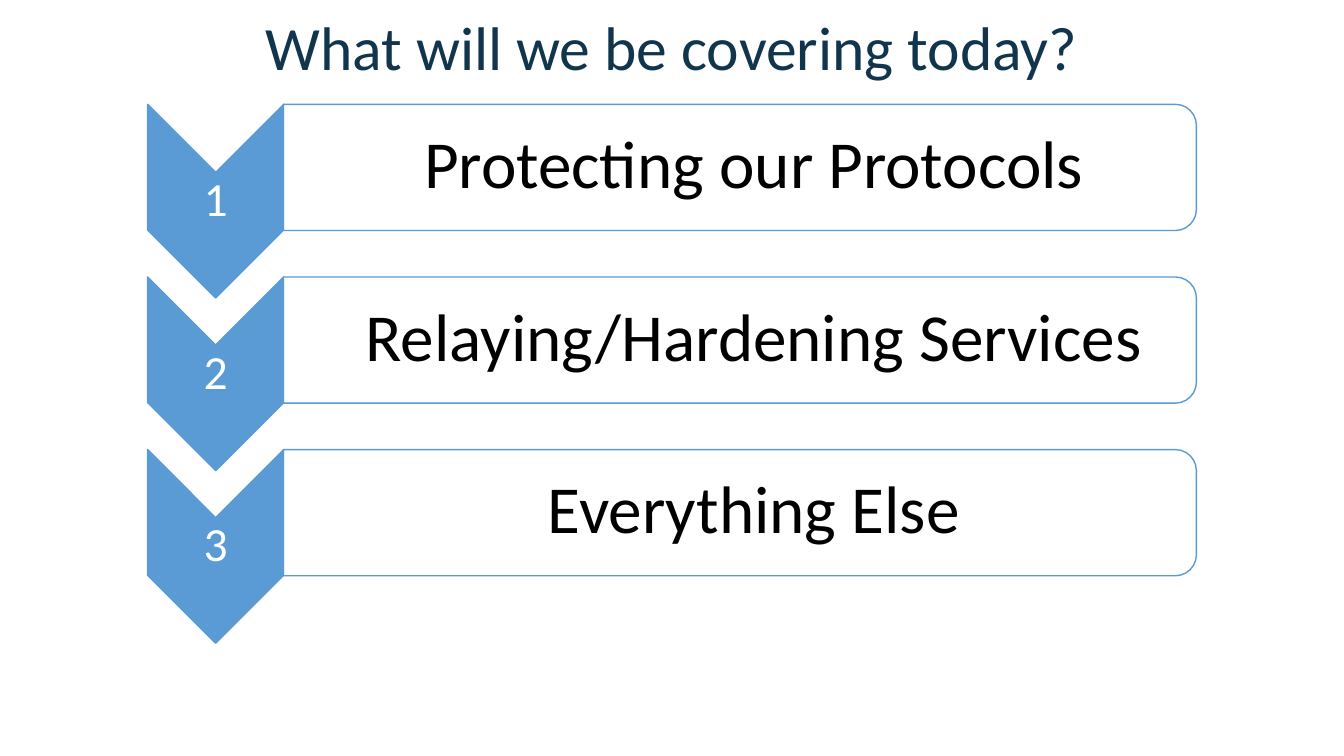
from dataclasses import dataclass

from lxml import etree
from pptx import Presentation
from pptx import util as u
from pptx.dml.color import RGBColor
from pptx.enum import shapes, text
from pptx.oxml.ns import qn


@dataclass(frozen=True)
class Theme:
    font: str = "Calibri"
    title_color: str = "11354D"
    accent: str = "5B9BD5"
    light: str = "FFFFFF"
    dark: str = "000000"
    title_size: int = 44
    number_size: int = 34
    topic_size: int = 48


def write_text(shape, content, *, font, size, color, margins=None):
    """Fill a shape with one centred, formatted paragraph."""
    frame = shape.text_frame
    frame.word_wrap = True
    frame.auto_size = text.MSO_AUTO_SIZE.NONE
    frame.vertical_anchor = text.MSO_ANCHOR.MIDDLE
    if margins:
        (frame.margin_left, frame.margin_top,
         frame.margin_right, frame.margin_bottom) = map(u.Cm, margins)
    frame.text = content
    paragraph = frame.paragraphs[0]
    paragraph.alignment = text.PP_ALIGN.CENTER
    paragraph.line_spacing = 0.9
    run_font = paragraph.runs[0].font
    run_font.name = font
    run_font.size = u.Pt(size)
    run_font.color.rgb = RGBColor.from_string(color)


class AgendaSlide:
    def __init__(self, presentation, theme):
        self.theme = theme
        self.slide = presentation.slides.add_slide(presentation.slide_layouts[5])

    def title(self, content, width, height):
        shape = self.slide.shapes.title
        shape.left, shape.top = u.Cm(0), u.Cm(0)
        shape.width, shape.height = u.Cm(width), u.Cm(height)
        write_text(shape, content, font=self.theme.font,
                   size=self.theme.title_size, color=self.theme.title_color)

    def turned_shape(self, kind, left, top, width, height, fill, opacity=100):
        """Add a shape turned by 90 degrees that covers the given area."""
        shift = (width - height) / 2
        shape = self.slide.shapes.add_shape(
            kind, u.Cm(left + shift), u.Cm(top - shift), u.Cm(height), u.Cm(width))
        shape.rotation = 90
        shape.shadow.inherit = False
        shape.fill.solid()
        shape.fill.fore_color.rgb = RGBColor.from_string(fill)
        if opacity < 100:
            color = shape.fill._xPr.find(qn("a:solidFill"))[0]
            etree.SubElement(color, qn("a:alpha"), val=str(opacity * 1000))
        shape.line.color.rgb = RGBColor.from_string(self.theme.accent)
        shape.line.width = u.Pt(1)

    def label(self, content, left, top, width, height, **text_format):
        box = self.slide.shapes.add_textbox(
            u.Cm(left), u.Cm(top), u.Cm(width), u.Cm(height))
        write_text(box, content, font=self.theme.font, **text_format)

    def agenda_row(self, number, topic, top):
        theme = self.theme
        # Numbered chevron
        self.turned_shape(shapes.MSO_SHAPE.CHEVRON, 3.72, top, 3.43, 4.88, theme.accent)
        self.label(str(number), 3.72, top + 1.7, 3.43, 1.47, size=theme.number_size,
                   color=theme.light, margins=(0.05, 0.05, 0.05, 0.05))
        # Topic bar
        self.turned_shape(shapes.MSO_SHAPE.ROUND_2_SAME_RECTANGLE,
                          7.14, top, 23.01, 3.18, theme.light, opacity=90)
        self.label(topic, 7.14, top + 0.14, 22.86, 2.87, size=theme.topic_size,
                   color=theme.dark, margins=(0.94, 0.08, 0.08, 0.08))


def main():
    presentation = Presentation()
    presentation.slide_width = u.Cm(33.87)
    presentation.slide_height = u.Cm(19.05)

    # Title
    agenda = AgendaSlide(presentation, Theme())
    agenda.title("What will we be covering today?", 33.87, 2.57)

    # Agenda rows
    first_top, row_pitch = 2.63, 4.35
    topics = ("Protecting our Protocols", "Relaying/Hardening Services", "Everything Else")
    for index, topic in enumerate(topics):
        agenda.agenda_row(index + 1, topic, first_top + index * row_pitch)

    presentation.save("out.pptx")


if __name__ == "__main__":
    main()
